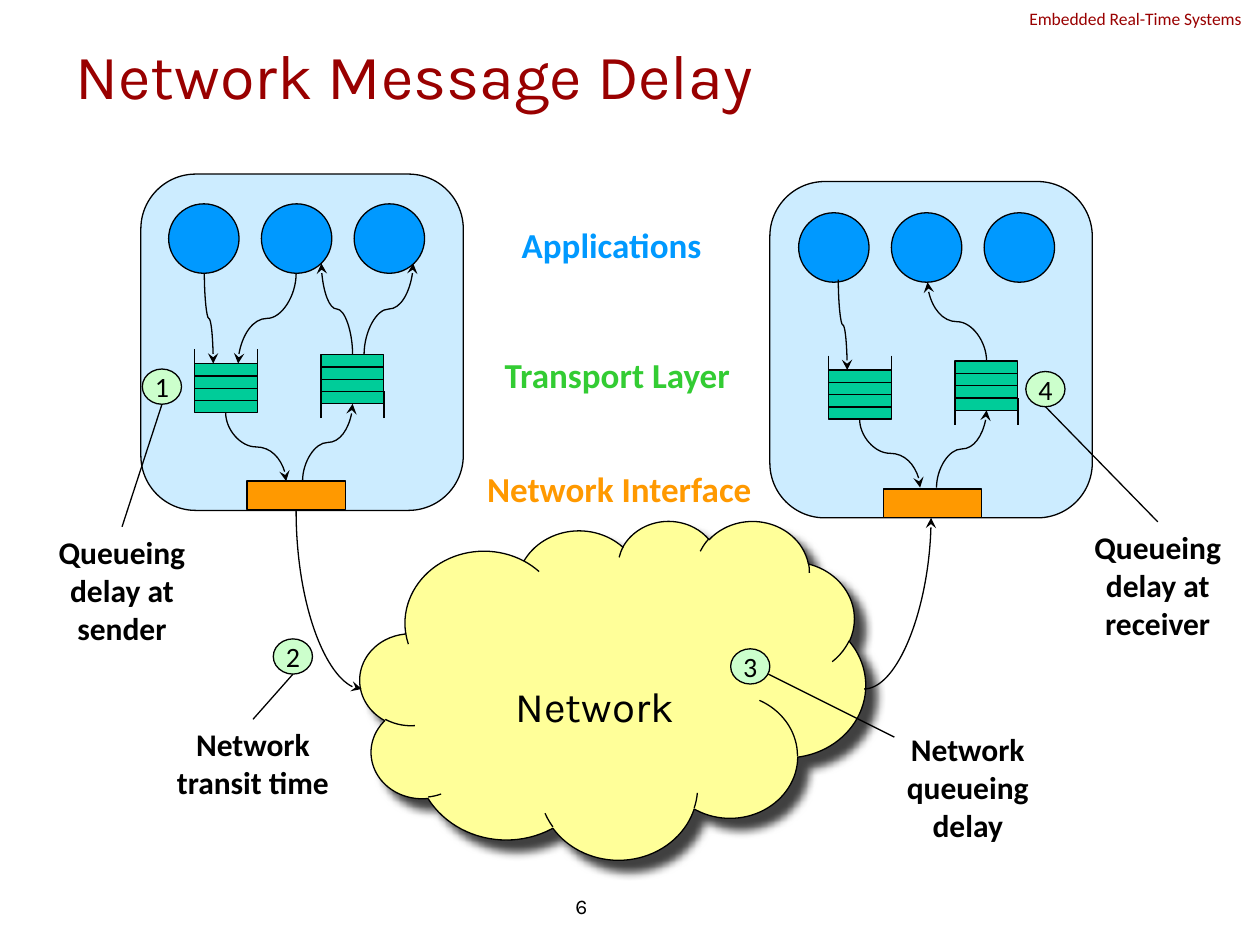
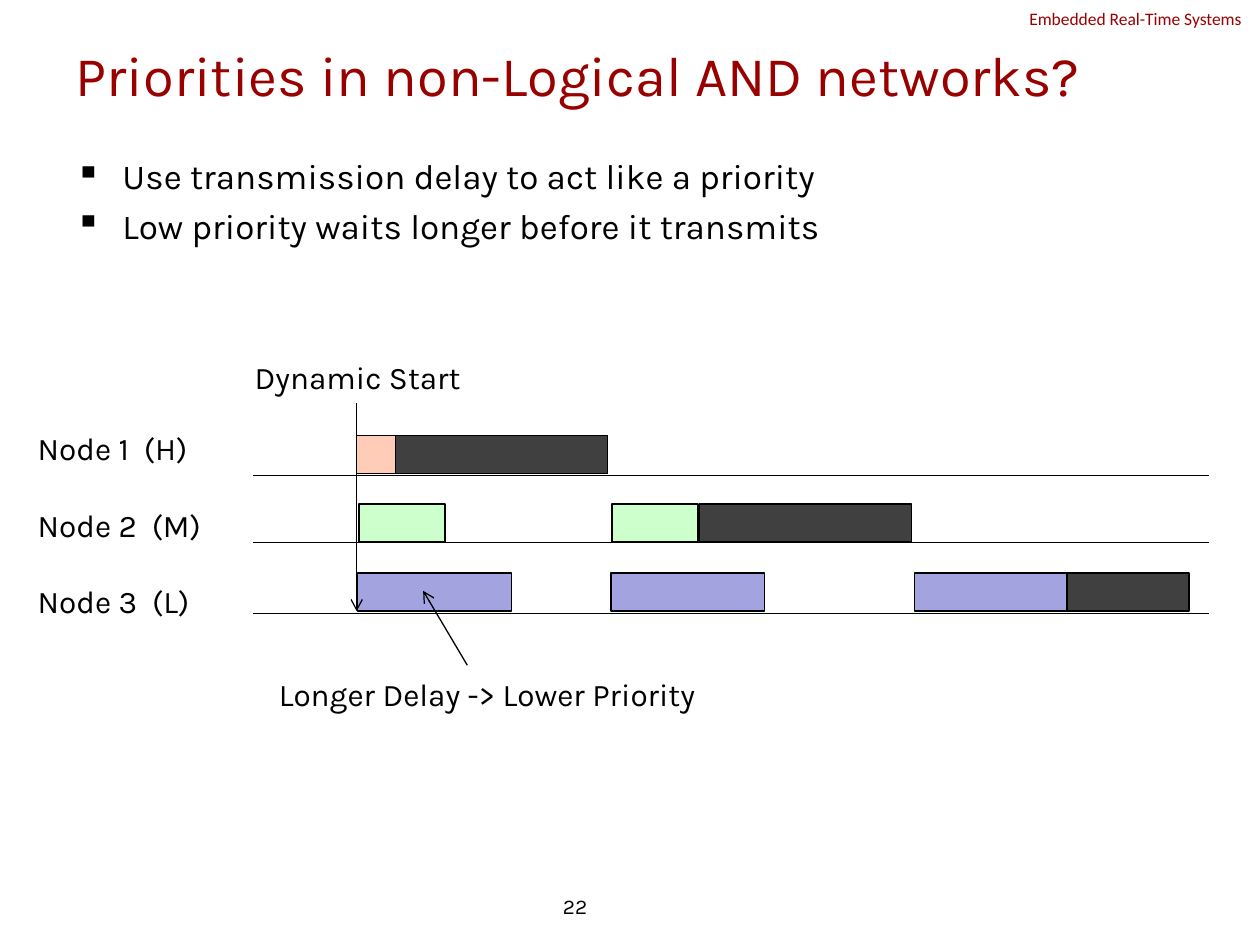
from dataclasses import dataclass
from typing import Any, NamedTuple, Optional

from lxml import etree
from pptx import Presentation
from pptx import util as u
from pptx.dml.color import RGBColor
from pptx.enum import shapes, text
from pptx.oxml.ns import qn

BLACK, MAROON = "000000", "990000"
APP_BLUE, HOST_BLUE, QUEUE_GREEN = "0099FF", "CCECFF", "00CC99"
LAYER_GREEN, ORANGE, CLOUD_YELLOW = "33CC33", "FF9900", "FFFF99"
PALE_GREEN, PEACH, LILAC, CHARCOAL = "CCFFCC", "FFCCB7", "A3A3E0", "404040"
SHAPE = shapes.MSO_SHAPE
CURVE = shapes.MSO_CONNECTOR.CURVE
LEFT, CENTER, RIGHT = (text.PP_ALIGN.LEFT, text.PP_ALIGN.CENTER, text.PP_ALIGN.RIGHT)
MIDDLE = text.MSO_ANCHOR.MIDDLE


class Point(NamedTuple):
    x: float
    y: float

    def shift(self, dx: float, dy: float) -> "Point":
        return Point(self.x + dx, self.y + dy)


class Style(NamedTuple):
    size: float
    font: str = "Karla"
    color: str = BLACK
    bold: bool = False
    align: Any = LEFT
    gap: float = 0


@dataclass(frozen=True)
class Host:
    frame: Point
    apps: Point
    queues: Point
    interface: Point
    app_arrows: tuple


@dataclass(frozen=True)
class Callout:
    number: str
    badge: Point
    words: str
    note: Point
    height: float
    leader: Optional[tuple] = None


@dataclass(frozen=True)
class Layer:
    name: str
    color: str
    corner: Point
    width: float


@dataclass(frozen=True)
class NodeRow:
    top: float
    baseline: float
    color: str
    delay: float
    delay_starts: tuple
    message_start: float
    message: float


NOTE = Style(18, "Calibri", bold=True, align=CENTER)
BADGE = Style(16, "Calibri", align=CENTER)
CAPTION = Style(18, align=CENTER)
BADGE_SIZE = (0.79, 0.71)
QUEUE_SIZE = (1.27, 0.99)
RAIL = 0.29
NOTE_WIDTH = 3.96
RECEIVE_SHIFT = (2.55, -0.18)

INTERFACE_ARROWS = (
    (Point(0.63, 0.99), Point(1.85, 2.37)),
    (Point(2.18, 2.37), Point(3.19, 0.81)),
)
FIRST_APP_SENDS = (Point(0.2, -1.82), Point(0.38, 0))
HOSTS = (
    Host(Point(2.84, 3.51), Point(3.4, 4.11), Point(3.92, 7.33), Point(4.98, 9.7),
         (FIRST_APP_SENDS,
          (Point(2.05, -1.82), Point(0.88, 0)),
          (Point(3.19, -0.18), Point(2.56, -2.02)),
          (Point(3.42, -0.18), Point(4.41, -2.02)))),
    Host(Point(15.52, 3.66), Point(16.1, 4.29), Point(16.7, 7.46), Point(17.81, 9.86),
         (FIRST_APP_SENDS,
          (Point(3.19, -0.18), Point(2, -1.77)))),
)
LAYERS = (
    Layer("Applications", APP_BLUE, Point(10.26, 4.39), 4.14),
    Layer("Transport Layer", LAYER_GREEN, Point(9.88, 7.01), 5.13),
    Layer("Network Interface", ORANGE, Point(9.55, 9.3), 5.87),
)
CALLOUTS = (
    Callout("1", Point(2.87, 7.44), "Queueing delay at sender", Point(0.48, 10.62), 2.54),
    Callout("2", Point(5.51, 12.88), "Network transit time", Point(3.12, 14.5), 1.78),
    Callout("3", Point(14.73, 13.08), "Network queueing delay", Point(17.53, 14.6), 2.54,
            (Point(15.49, 13.59), Point(18.03, 14.86))),
    Callout("4", Point(20.68, 7.49), "Queueing delay at receiver", Point(21.36, 10.52), 2.54),
)
NODE_ROWS = (
    NodeRow(8.78, 9.58, PEACH, 0.81, (7.19,), 7.98, 4.27),
    NodeRow(10.16, 10.93, PALE_GREEN, 1.73, (7.24, 12.34), 14.1, 4.27),
    NodeRow(11.55, 12.37, LILAC, 3.1, (7.21, 12.32, 18.44), 21.51, 2.46),
)


def paint(color_format: Any, color: str) -> None:
    color_format.rgb = RGBColor.from_string(color)


def assign(target: Any, values: dict) -> None:
    for name, value in values.items():
        setattr(target, name, value)


def write(frame: Any, lines: list[str], style: Style, **layout: Any) -> None:
    assign(frame, {"word_wrap": True, "auto_size": text.MSO_AUTO_SIZE.NONE,
                   "vertical_anchor": text.MSO_ANCHOR.TOP, **layout})
    for index, words in enumerate(lines):
        paragraph = frame.paragraphs[0] if index == 0 else frame.add_paragraph()
        assign(paragraph, {"alignment": style.align, "space_before": u.Pt(style.gap)})
        run = paragraph.add_run()
        run.text = words
        assign(run.font, {"name": style.font, "size": u.Pt(style.size), "bold": style.bold})
        paint(run.font.color, style.color)


def put_text(slide: Any, corner: Point, size: tuple, lines: list[str],
             style: Style, **layout: Any) -> Any:
    box = slide.shapes.add_textbox(*map(u.Cm, (*corner, *size)))
    write(box.text_frame, lines, style, **layout)
    return box


def outline(shape: Any) -> None:
    shape.line.width = u.Pt(0.75)
    paint(shape.line.color, BLACK)


def put_shape(slide: Any, kind: Any, corner: Point, size: tuple, color: str) -> Any:
    shape = slide.shapes.add_shape(kind, *map(u.Cm, (*corner, *size)))
    shape.shadow.inherit = False
    shape.fill.solid()
    paint(shape.fill.fore_color, color)
    outline(shape)
    return shape


def put_line(slide: Any, start: Point, end: Point, head: str = "",
             kind: Any = shapes.MSO_CONNECTOR.STRAIGHT) -> Any:
    line = slide.shapes.add_connector(kind, *map(u.Cm, (*start, *end)))
    outline(line)
    properties = line.element.spPr
    if head:
        etree.SubElement(properties.find(qn("a:ln")), qn("a:tailEnd"), type=head)
    etree.SubElement(properties, qn("a:effectLst"))
    return line


def put_vertical_curve(slide: Any, start: Point, end: Point) -> Any:
    dx, dy = end.x - start.x, end.y - start.y
    middle = Point((start.x + end.x) / 2, (start.y + end.y) / 2)
    run = -abs(dy) if dx * dy > 0 else abs(dy)
    curve = put_line(slide, middle.shift(-run / 2, -abs(dx) / 2),
                     middle.shift(run / 2, abs(dx) / 2), "stealth", CURVE)
    curve.rotation = 270 if dx > 0 else 90
    return curve


def make_quarter_arc(curve: Any) -> None:
    curve.element.spPr.find(qn("a:prstGeom")).set("prst", "curvedConnector2")


def put_queue(slide: Any, corner: Point, open_at_top: bool) -> None:
    width, height = QUEUE_SIZE
    body = put_shape(slide, SHAPE.RECTANGLE, corner, QUEUE_SIZE, QUEUE_GREEN)
    for quarter in (1, 2, 3):
        left = corner.shift(0, height * quarter / 4)
        divider = put_line(slide, left, left.shift(width, 0))
        if quarter == 2:
            divider.begin_connect(body, 1)
            divider.end_connect(body, 3)
    outer, inner = (-RAIL, height / 4) if open_at_top else (height + RAIL, height * 3 / 4)
    for x in (0, width):
        put_line(slide, corner.shift(x, outer), corner.shift(x, inner))


def put_host(slide: Any, host: Host) -> None:
    frame = put_shape(slide, SHAPE.ROUNDED_RECTANGLE, host.frame, (6.5, 6.78), HOST_BLUE)
    frame.adjustments[0] = 0.17
    for index in range(3):
        put_shape(slide, SHAPE.OVAL, host.apps.shift(1.87 * index, 0), (1.42, 1.4), APP_BLUE)
    put_queue(slide, host.queues, True)
    put_queue(slide, host.queues.shift(*RECEIVE_SHIFT), False)
    put_shape(slide, SHAPE.RECTANGLE, host.interface, (1.98, 0.58), ORANGE)
    for start, end in INTERFACE_ARROWS + host.app_arrows:
        put_vertical_curve(slide, host.queues.shift(*start), host.queues.shift(*end))


def put_cloud(slide: Any) -> None:
    cloud = put_shape(slide, SHAPE.CLOUD, Point(7.26, 10.49), (10.19, 6.83), CLOUD_YELLOW)
    shadow = etree.SubElement(
        cloud.element.spPr.find(qn("a:effectLst")), qn("a:outerShdw"),
        blurRad=str(u.Pt(5)), dist=str(u.Pt(8.5)), dir="2700000", algn="tl", rotWithShape="0")
    tint = etree.SubElement(shadow, qn("a:srgbClr"), val=BLACK)
    etree.SubElement(tint, qn("a:alpha"), val="75000")
    write(cloud.text_frame, ["Network"], Style(24, align=CENTER),
          vertical_anchor=MIDDLE, margin_top=u.Cm(1.1))


def put_callout(slide: Any, callout: Callout) -> None:
    badge = put_shape(slide, SHAPE.OVAL, callout.badge, BADGE_SIZE, PALE_GREEN)
    write(badge.text_frame, [callout.number], BADGE, word_wrap=False, vertical_anchor=MIDDLE)
    note = put_text(slide, callout.note, (NOTE_WIDTH, callout.height), [callout.words], NOTE)
    if callout.leader:
        put_line(slide, *callout.leader)
    else:
        width, height = BADGE_SIZE
        leader = put_line(slide, callout.badge.shift(width / 2, height),
                          callout.note.shift(NOTE_WIDTH / 2, 0))
        leader.end_connect(note, 0)


def start_slide(deck: Any, heading: str, size: float, number: str) -> Any:
    slide = deck.slides.add_slide(deck.slide_layouts[5])
    title = slide.shapes.title
    assign(title, {"left": u.Cm(1.27), "top": u.Cm(0.76),
                   "width": u.Cm(22.86), "height": u.Cm(1.47)})
    write(title.text_frame, [heading], Style(size, color=MAROON), vertical_anchor=MIDDLE)
    put_text(slide, Point(20.5, 0.03), (5.77, 0.69), ["Embedded Real-Time Systems"],
             Style(10, "Calibri", MAROON))
    put_text(slide, Point(6.17, 17.75), (5.92, 1.02), [number],
             Style(12, align=RIGHT), vertical_anchor=MIDDLE)
    return slide


def build_message_delay(deck: Any) -> None:
    slide = start_slide(deck, "Network Message Delay", 36, "6")
    put_cloud(slide)
    for host in HOSTS:
        put_host(slide, host)
    for layer in LAYERS:
        put_text(slide, layer.corner, (layer.width, 1.09), [layer.name],
                 Style(20, "Calibri", layer.color, True, CENTER), word_wrap=False)
    make_quarter_arc(put_vertical_curve(slide, Point(5.97, 10.29), Point(7.29, 13.89)))
    make_quarter_arc(put_line(slide, Point(17.42, 13.89), Point(18.77, 10.44),
                              "stealth", CURVE))
    for callout in CALLOUTS:
        put_callout(slide, callout)


def build_priorities(deck: Any) -> None:
    slide = start_slide(deck, "Priorities in non-Logical AND networks?", 32, "22")
    points = put_text(slide, Point(1.27, 3), (22.86, 14.02),
                      ["Use transmission delay to act like a priority",
                       "Low priority waits longer before it transmits"], Style(20, gap=4))
    indent = u.Cm(0.95)
    for paragraph in points.text_frame.paragraphs:
        properties = paragraph._p.get_or_add_pPr()
        properties.set("marL", str(indent))
        properties.set("indent", str(-indent))
        etree.SubElement(properties, qn("a:buChar"), char="▪")
    put_text(slide, Point(0.51, 8.53), (4.8, 4.11),
             ["Node 1  (H)", "Node 2  (M)", "Node 3  (L)"], Style(18, gap=22))
    put_text(slide, Point(3.63, 7.09), (7.16, 1.02), ["Dynamic Start"], CAPTION)
    for row in NODE_ROWS:
        bars = [(start, row.delay, row.color) for start in row.delay_starts]
        bars.append((row.message_start, row.message, CHARCOAL))
        for start, width, color in bars:
            put_shape(slide, SHAPE.RECTANGLE, Point(start, row.top), (width, 0.77), color)
        put_line(slide, Point(5.11, row.baseline), Point(24.38, row.baseline))
    put_line(slide, Point(7.19, 8.13), Point(7.19, 12.32), "arrow")
    put_line(slide, Point(9.42, 13.41), Point(8.53, 11.91), "arrow")
    put_text(slide, Point(4.42, 13.49), (10.8, 1.02),
             ["Longer Delay -> Lower Priority"], CAPTION)


def main() -> None:
    deck = Presentation()
    assign(deck, {"slide_width": u.Cm(25.4), "slide_height": u.Cm(19.05)})
    build_message_delay(deck)
    build_priorities(deck)
    deck.save("out.pptx")


if __name__ == "__main__":
    main()
